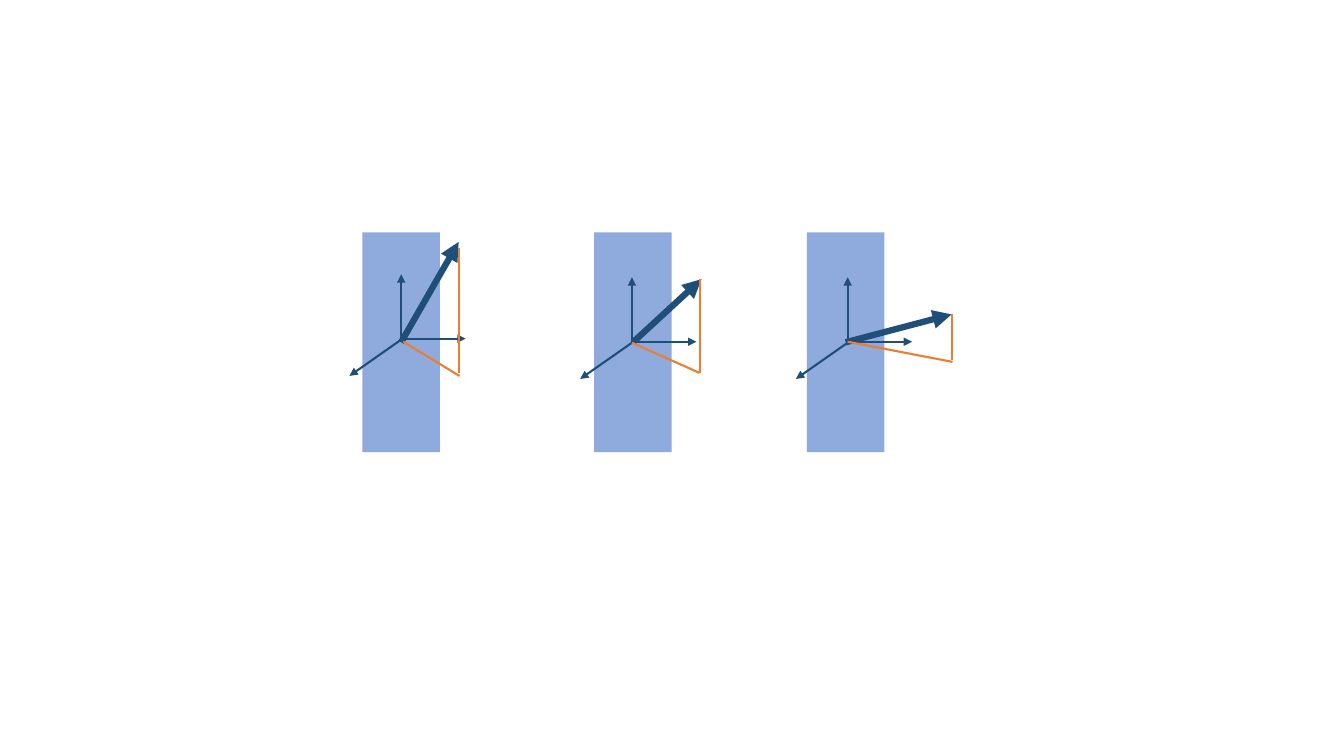
from pptx import Presentation
from pptx.dml.color import RGBColor as RGB
from pptx.enum.shapes import MSO_CONNECTOR as CONN, MSO_SHAPE as SHAPE
from pptx.oxml.ns import qn
from pptx.util import Pt
from lxml.etree import SubElement as Sub

COLORS = {"plane": "8FAADC", "axis": "1F4E79", "drop": "ED7D31"}
TOP, WIDE, HIGH = 166, 55.4, 157  # size of every plane
MID = HIGH / 2
AXES = [((0, 0), (0, -46)), ((0, 0), (46, 0)), ((1, 0), (-37, 26.6))]

# Points are relative to the top left corner of each plane
PANELS = [
    {"left": 258.8, "origin": (27.8, 75.9), "tip": (68.8, 6.8),
     "drop": [(68.8, 11.1), (68.8, 100.4)], "base": [(69.5, 102.6), (29.2, 78.1)]},
    {"left": 424.4, "origin": (27, 78.1), "tip": (76.7, 33.4),
     "drop": [(75.3, 33.4), (75.3, 100.4)], "base": [(75.3, 100.4), (27, 78.8)]},
    {"left": 576.4, "origin": (29.1, 78.1), "tip": (103.3, 58.6),
     "drop": [(103.3, 58.6), (103.3, 91)], "base": [(104, 92.5), (29.1, 78.1)]},
]


def add_line(slide, start, end, color, width=1.5, arrow=False):
    ends = [Pt(n) for n in (*start, *end)]
    line = slide.shapes.add_connector(CONN.STRAIGHT, *ends)
    line.line.color.rgb = RGB.from_string(COLORS[color])
    line.line.width = Pt(width)
    props = line._element.spPr
    if arrow:
        Sub(props.find(qn("a:ln")), qn("a:tailEnd"), type="triangle")
    Sub(props, qn("a:effectLst"))


def add_panel(slide, panel, top, width, height):
    left = panel["left"]

    def place(point, base=(0, 0)):
        return left + base[0] + point[0], top + base[1] + point[1]

    # Plane
    plane = slide.shapes.add_shape(
        SHAPE.RECTANGLE, Pt(left), Pt(top), Pt(width), Pt(height))
    plane.shadow.inherit = False
    plane.fill.solid()
    plane.fill.fore_color.rgb = RGB.from_string(COLORS["plane"])
    plane.line.fill.background()

    # Vector
    add_line(slide, place((width / 2, height / 2)), place(panel["tip"]),
             "axis", 4.5, True)

    # Axes
    for start, end in AXES:
        add_line(slide, place(start, panel["origin"]),
                 place(end, panel["origin"]), "axis", arrow=True)

    # Projection
    for part in ("drop", "base"):
        start, end = panel[part]
        add_line(slide, place(start), place(end), "drop")


def main():
    deck = Presentation()
    deck.slide_width, deck.slide_height = Pt(960), Pt(540)
    slide = deck.slides.add_slide(deck.slide_layouts[6])
    for panel in PANELS:
        add_panel(slide, panel, TOP, WIDE, HIGH)
    deck.save("out.pptx")


if __name__ == "__main__":
    main()
